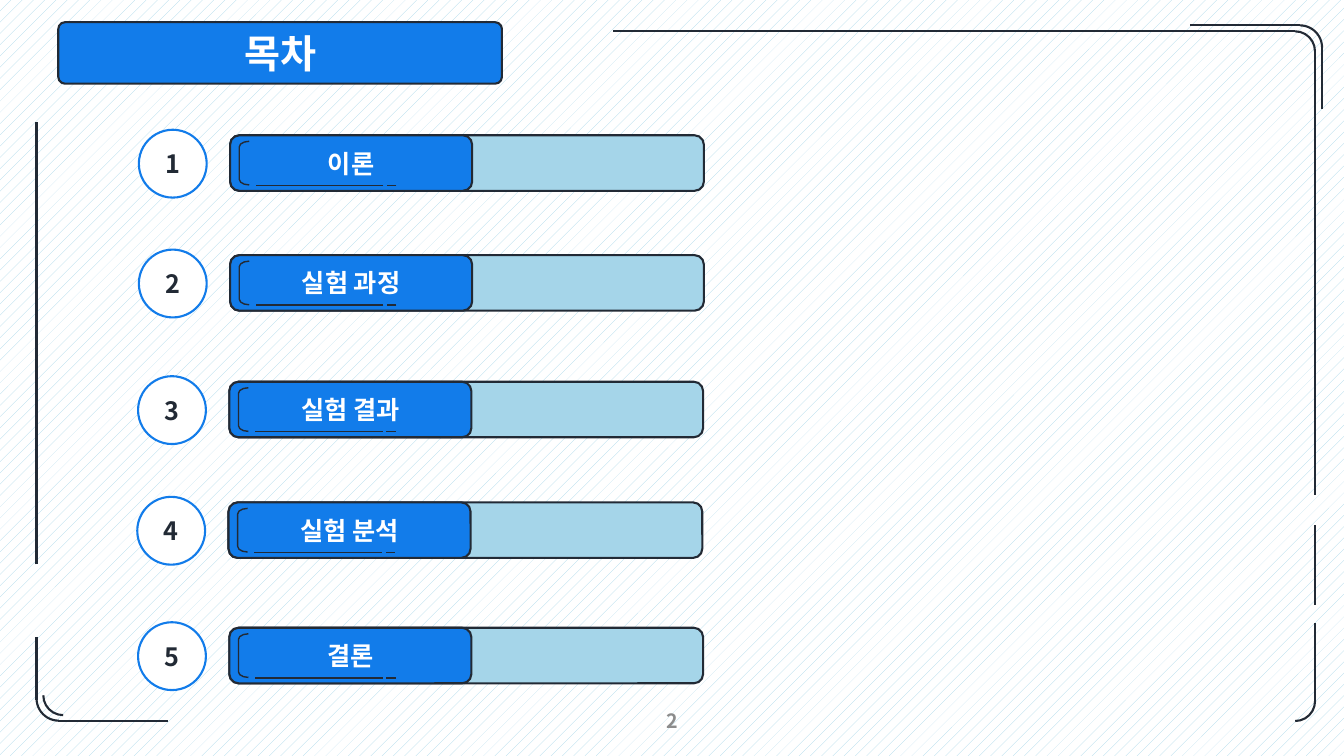
"""Build the contents slide: a title, five numbered sections and a line frame."""
import pptx
import pptx.dml.color
import pptx.enum.dml
import pptx.enum.shapes
import pptx.enum.text
import pptx.util
from lxml import etree
from pptx.oxml.ns import qn

Cm = pptx.util.Cm
Pt = pptx.util.Pt
Kind = pptx.enum.shapes.MSO_SHAPE
rgb = pptx.dml.color.RGBColor.from_string

FONT = "Noto Sans CJK KR"
COLORS = {"ink": "222A35", "blue": "127CEA", "sky": "A5D5E9", "white": "FFFFFF", "gray": "8C8C8C"}

deck = pptx.Presentation()
deck.slide_width, deck.slide_height = Cm(33.87), Cm(19.05)
page = deck.slides.add_slide(deck.slide_layouts[6])


def draw_box(kind, place, text="", *, fill=None, line="ink", weight=1.5, turn=0, bend=None,
             size=18, color="white"):
    lengths = [Cm(value) for value in place]
    if kind is None:
        box = page.shapes.add_textbox(*lengths)
    else:
        box = page.shapes.add_shape(kind, *lengths)
        box.shadow.inherit = False
        box.rotation = turn
        box.line.color.rgb = rgb(COLORS[line])
        box.line.width = Pt(weight)
        if bend is not None:
            box.adjustments[0] = bend
        if fill:
            box.fill.solid()
            box.fill.fore_color.rgb = rgb(COLORS[fill])
        else:
            box.fill.background()
    if text:
        frame = box.text_frame
        frame.word_wrap = True
        frame.vertical_anchor = pptx.enum.text.MSO_ANCHOR.MIDDLE
        para = frame.paragraphs[0]
        para.alignment = pptx.enum.text.PP_ALIGN.CENTER
        span = para.add_run()
        span.text = text
        span.font.name, span.font.size, span.font.bold = FONT, Pt(size), True
        span.font.color.rgb = rgb(COLORS[color])
        etree.SubElement(span.font._element, qn("a:ea"), typeface=FONT)


def draw_line(start_x, start_y, end_x, end_y, weight=1.5):
    line = page.shapes.add_connector(
        pptx.enum.shapes.MSO_CONNECTOR.STRAIGHT, Cm(start_x), Cm(start_y), Cm(end_x), Cm(end_y))
    line.line.color.rgb = rgb(COLORS["ink"])
    line.line.width = Pt(weight)
    etree.SubElement(line._element.spPr, qn("a:effectLst"))


backdrop = page.background.fill
backdrop.patterned()
backdrop.pattern = pptx.enum.dml.MSO_PATTERN.PERCENT_10
backdrop.fore_color.rgb = rgb(COLORS["sky"])
backdrop.back_color.rgb = rgb(COLORS["white"])

draw_box(Kind.ROUNDED_RECTANGLE, (1.47, 0.56, 11.18, 1.55), "목차", fill="blue", bend=0.11, size=28)

frame_corners = [
    (32.14, 0.79, 1, 0),
    (32.2, 0.64, 1.12, 0),
    (32.14, 17.17, 1, 90),
    (1.09, 17.02, 1, 180),
    (0.92, 17.04, 1.12, 180),
]
for left, top, side, turn in frame_corners:
    draw_box(Kind.ARC, (left, top, side, side), turn=turn)

frame_lines = [
    (32.64, 0.79, 15.44, 0.79),
    (33.14, 12.47, 33.14, 1.29),
    (32.75, 0.64, 30, 0.64),
    (33.31, 2.74, 33.31, 1.19),
    (33.14, 15.24, 33.14, 13.23),
    (33.14, 17.7, 33.14, 15.7),
    (1.47, 18.16, 4.24, 18.16),
    (0.92, 16.05, 0.92, 17.63),
    (0.92, 14.22, 0.92, 3.07),
]
for ends in frame_lines:
    draw_line(*ends)

sections = [
    ("이론", 5.8, 3.41),
    ("실험 과정", 5.8, 6.43),
    ("실험 결과", 5.78, 9.62),
    ("실험 분석", 5.76, 12.66),
    ("결론", 5.78, 15.82),
]
for number, (name, left, top) in enumerate(sections, start=1):
    draw_box(Kind.ROUNDED_RECTANGLE, (left, top, 11.94, 1.4), fill="sky")
    draw_box(Kind.ROUNDED_RECTANGLE, (left, top, 6.1, 1.4), name, fill="blue")
    draw_box(Kind.RIGHT_BRACKET, (left + 0.23, top + 0.15, 0.25, 1.1), weight=1, turn=180, bend=0.56)
    for dash_start, dash_end in [(3.86, 0.64), (4.19, 3.96)]:
        draw_line(left + dash_start, top + 1.26, left + dash_end, top + 1.26, weight=1)
    draw_box(Kind.OVAL, (left - 2.3, top - 0.14, 1.71, 1.71), str(number),
             fill="white", line="blue", color="ink")

draw_box(None, (13.13, 17.65, 7.62, 1.02), "2", size=14, color="gray")

deck.save("out.pptx")
